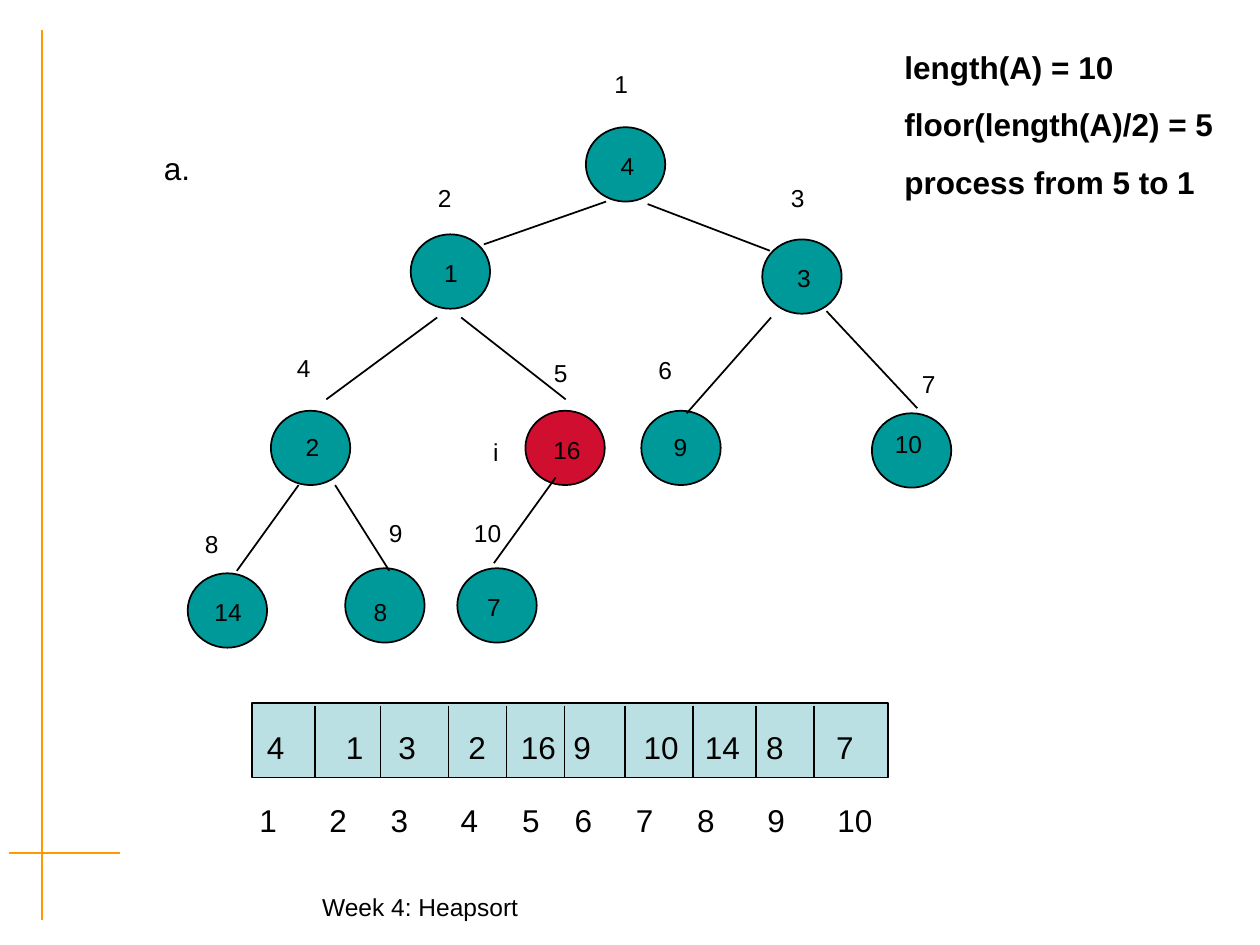
import dataclasses

import lxml.etree
import pptx
import pptx.dml.color
import pptx.enum.shapes
import pptx.enum.text
import pptx.oxml.ns
import pptx.util

ALIGN = pptx.enum.text.PP_ALIGN
SHAPE = pptx.enum.shapes.MSO_SHAPE
COLUMNS, ROWS = 100, 75  # square grid over the page


@dataclasses.dataclass(frozen=True)
class Theme:
    font: str = "Arial"
    ink: str = "000000"
    rule: str = "FF9900"
    node: str = "009999"
    current: str = "CF0E30"
    array: str = "BBE0E3"
    small: int = 14
    large: int = 18
    line: float = 1
    rule_line: float = 1.19
    space_before: float = 0.625  # share of the type size


THEME = Theme()
NODE_SIZE = (6.3, 5.9)
VALUE_SIZE = (5.4, 3.3)
INDEX_SIZE = (4.8, 3.3)
CURRENT_INDEX = 5

# Heap index, value, and the corners of the circle, its value and its index
NODES = [
    (1, 4, (46.5, 10.1), (47.1, 11.5), (46.9, 5)),
    (2, 1, (32.6, 18.6), (33.1, 20), (32.9, 14)),
    (3, 3, (60.5, 19), (61.1, 20.4), (60.9, 14)),
    (4, 2, (21.5, 32.6), (22.1, 33.8), (21.7, 27.5)),
    (5, 16, (41.7, 32.6), (42.3, 34), (42.1, 27.9)),
    (6, 9, (50.9, 32.6), (51.3, 33.8), (50.4, 27.7)),
    (7, 10, (69.2, 32.8), (69.4, 33.6), (71.3, 28.8)),
    (8, 14, (14.9, 45.5), (15.4, 46.9), (14.4, 41.5)),
    (9, 8, (27.4, 45.1), (27.5, 46.9), (29, 40.6)),
    (10, 7, (36.3, 45.1), (36.5, 46.5), (36.3, 40.6)),
]

# Parent end and child end of each branch
BRANCHES = [
    ((48.1, 16), (38.4, 19.4)),
    ((51.4, 16.2), (61.1, 19.9)),
    ((34.7, 25.2), (25.9, 31.7)),
    ((36.6, 25.2), (44.9, 31.7)),
    ((61.2, 25.2), (54.5, 32.8)),
    ((65.6, 24.7), (72.8, 32.4)),
    ((23.7, 38.5), (18.8, 45.3)),
    ((26.6, 38.5), (30.9, 45.3)),
    ((44.1, 37.9), (39.2, 44.7)),
]

ARRAY_BOX = (20, 55.8, 50.5, 5.9)
DIVIDERS = [25, 30.2, 35.6, 40.2, 44.8, 49.6, 55, 60, 64.6]
VALUE_TABS = [6.26, 10.43, 15.99, 20.16, 24.33, 29.89, 34.75, 39.62, 45.18]
INDEX_TABS = [5.56, 10.42, 15.98, 20.85, 25.02, 29.88, 34.75, 40.31, 45.87]


def grid(cells):
    """Length of a number of grid cells."""
    return pptx.util.Inches(cells * 10 / COLUMNS)


def color(code):
    return pptx.dml.color.RGBColor.from_string(code)


def add_text(page, text, box, size=THEME.small, bold=False,
             align=ALIGN.CENTER, tabs=()):
    """Text box with one paragraph for each line of text."""
    frame = page.shapes.add_textbox(*map(grid, box)).text_frame
    frame.word_wrap = True
    frame.auto_size = pptx.enum.text.MSO_AUTO_SIZE.SHAPE_TO_FIT_TEXT
    for number, line in enumerate(text.split("\n")):
        para = frame.add_paragraph() if number else frame.paragraphs[0]
        para.alignment = align
        para.space_before = pptx.util.Pt(size * THEME.space_before)
        span = para.add_run()
        span.text = line
        span.font.name = THEME.font
        span.font.size = pptx.util.Pt(size)
        span.font.bold = bold
        span.font.color.rgb = color(THEME.ink)
        if tabs:
            add_tabs(para, tabs)


def add_tabs(para, stops):
    qn = pptx.oxml.ns.qn
    tab_list = lxml.etree.SubElement(para._p.get_or_add_pPr(), qn("a:tabLst"))
    for stop in stops:
        lxml.etree.SubElement(tab_list, qn("a:tab"),
                              pos=str(grid(stop)), algn="l")


def add_filled(page, kind, box, fill):
    shape = page.shapes.add_shape(kind, *map(grid, box))
    shape.shadow.inherit = False
    shape.fill.solid()
    shape.fill.fore_color.rgb = color(fill)
    shape.line.color.rgb = color(THEME.ink)
    shape.line.width = pptx.util.Pt(THEME.line)


def add_line(page, start, end, stroke=THEME.ink, width=THEME.line):
    line = page.shapes.add_connector(
        pptx.enum.shapes.MSO_CONNECTOR.STRAIGHT, *map(grid, start + end))
    line.line.color.rgb = color(stroke)
    line.line.width = pptx.util.Pt(width)
    lxml.etree.SubElement(line._element.spPr, pptx.oxml.ns.qn("a:effectLst"))


def add_frame(page):
    """Crossing rules and footer."""
    for start, end in [((3.3, 2.4), (3.3, 73)), ((0.7, 67.7), (9.5, 67.7))]:
        add_line(page, start, end, THEME.rule, THEME.rule_line)
    add_text(page, "Week 4: Heapsort", (8.8, 70.3, 49.1, 3.4))


def add_heap(page):
    """Nodes with values and indices, then the branches."""
    for index, value, node_at, value_at, index_at in NODES:
        fill = THEME.current if index == CURRENT_INDEX else THEME.node
        add_filled(page, SHAPE.OVAL, node_at + NODE_SIZE, fill)
        add_text(page, str(value), value_at + VALUE_SIZE)
        add_text(page, str(index), index_at + INDEX_SIZE)
    for parent, child in BRANCHES:
        add_line(page, parent, child)


def add_array(page):
    """Array cells with values inside and indices below."""
    add_filled(page, SHAPE.RECTANGLE, ARRAY_BOX, THEME.array)
    for column in DIVIDERS:
        add_line(page, (column, 56), (column, 61.7))
    values = "\t".join(str(node[1]) for node in NODES)
    indices = "\t".join(str(node[0]) for node in NODES)
    for text, box, tabs in [(values, (20.2, 57.3, 48.9, 4), VALUE_TABS),
                            (indices, (19.6, 63.1, 53.5, 4), INDEX_TABS)]:
        add_text(page, text, box, size=THEME.large, align=ALIGN.LEFT, tabs=tabs)


def add_notes(page):
    """Step letter, loop marker and loop bounds."""
    add_text(page, "i", (37.5, 34.2, 3.7, 3.3))
    add_text(page, "a.", (10.2, 11.3, 7.7, 4), size=THEME.large)
    add_text(page,
             "length(A) = 10\nfloor(length(A)/2) = 5\nprocess from 5 to 1",
             (70.8, 3.3, 26.7, 17.7),
             size=THEME.large, bold=True, align=ALIGN.LEFT)


def main():
    deck = pptx.Presentation()
    deck.slide_width, deck.slide_height = grid(COLUMNS), grid(ROWS)
    page = deck.slides.add_slide(deck.slide_layouts[6])  # blank layout
    add_frame(page)
    add_heap(page)
    add_array(page)
    add_notes(page)
    deck.save("out.pptx")


if __name__ == "__main__":
    main()
